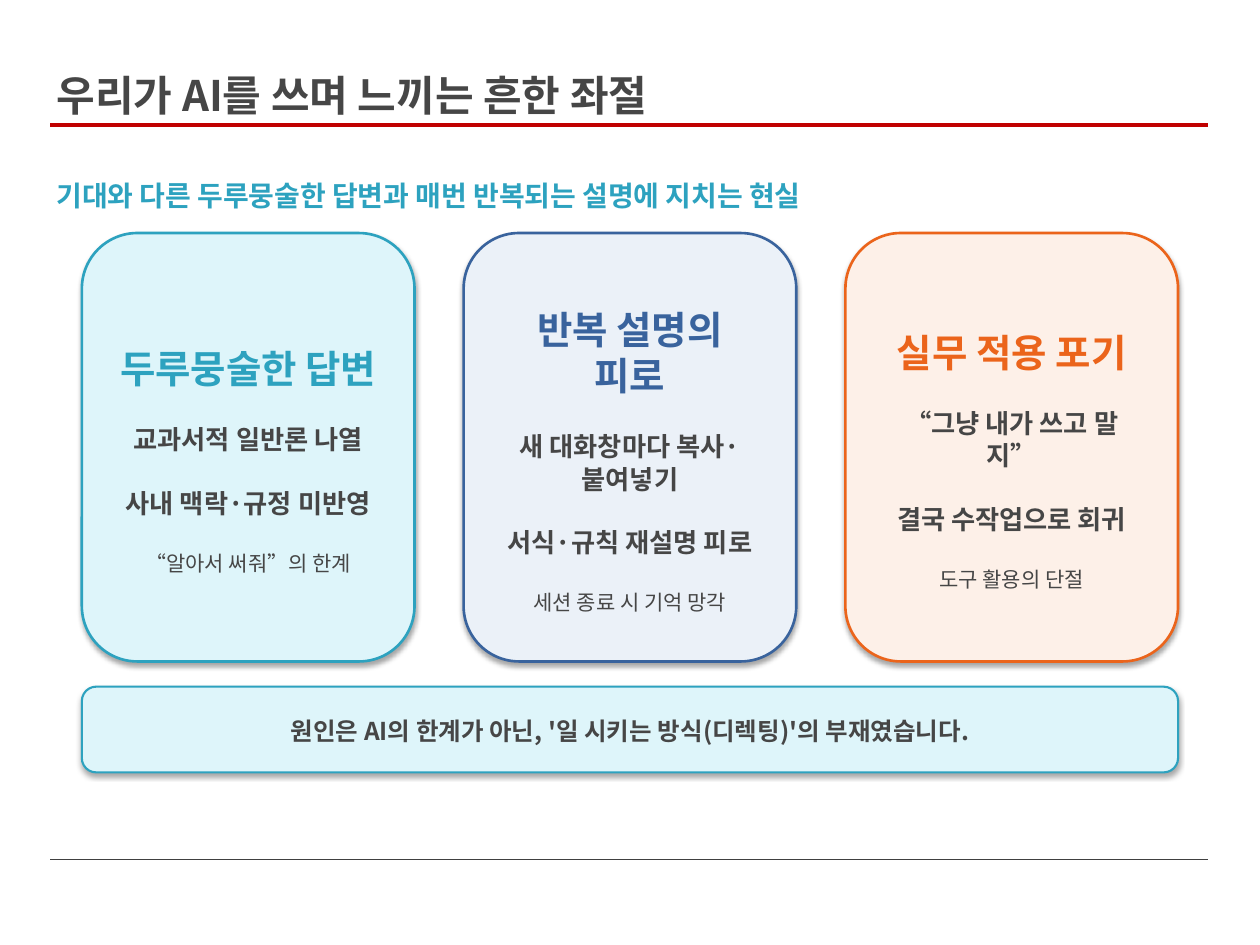
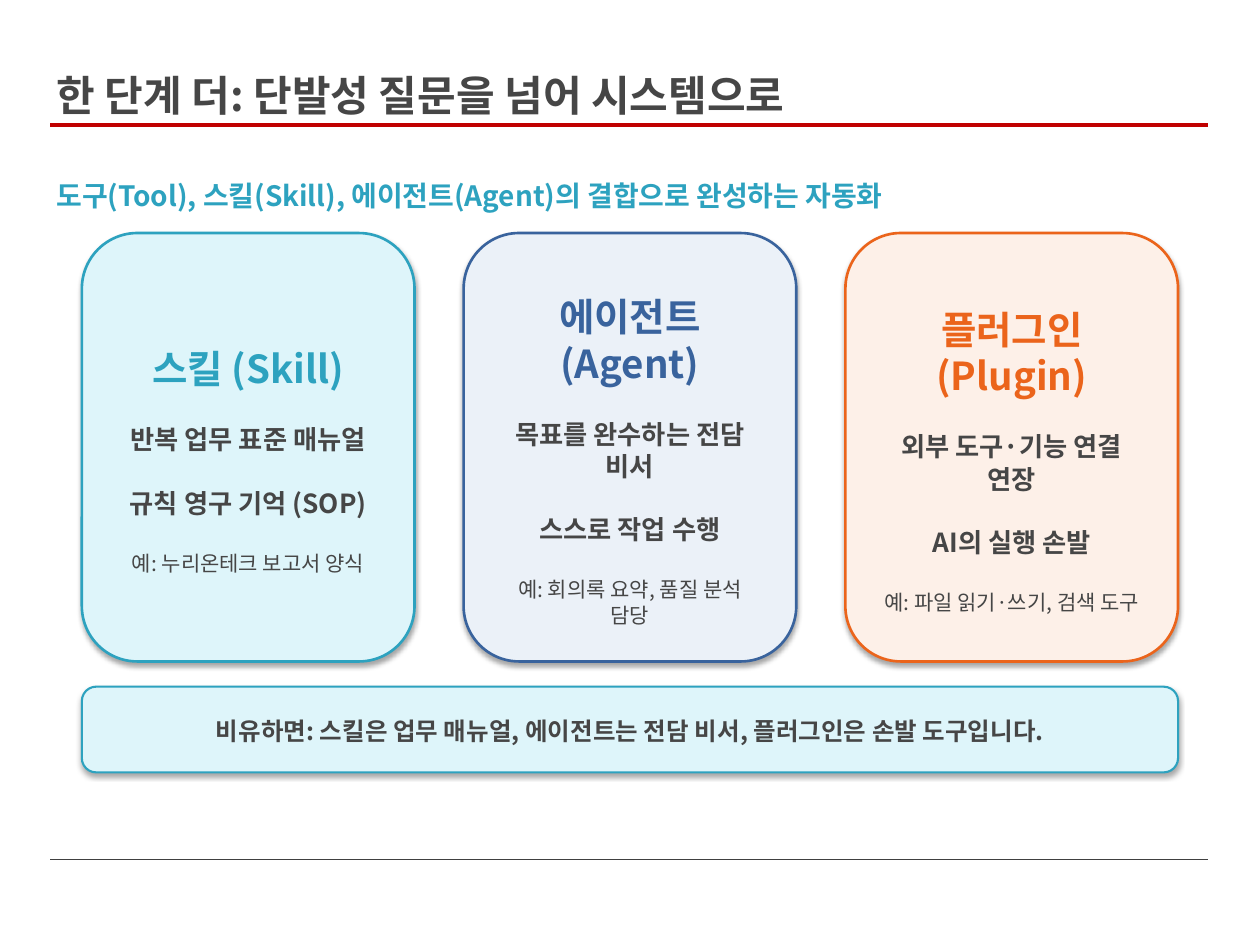
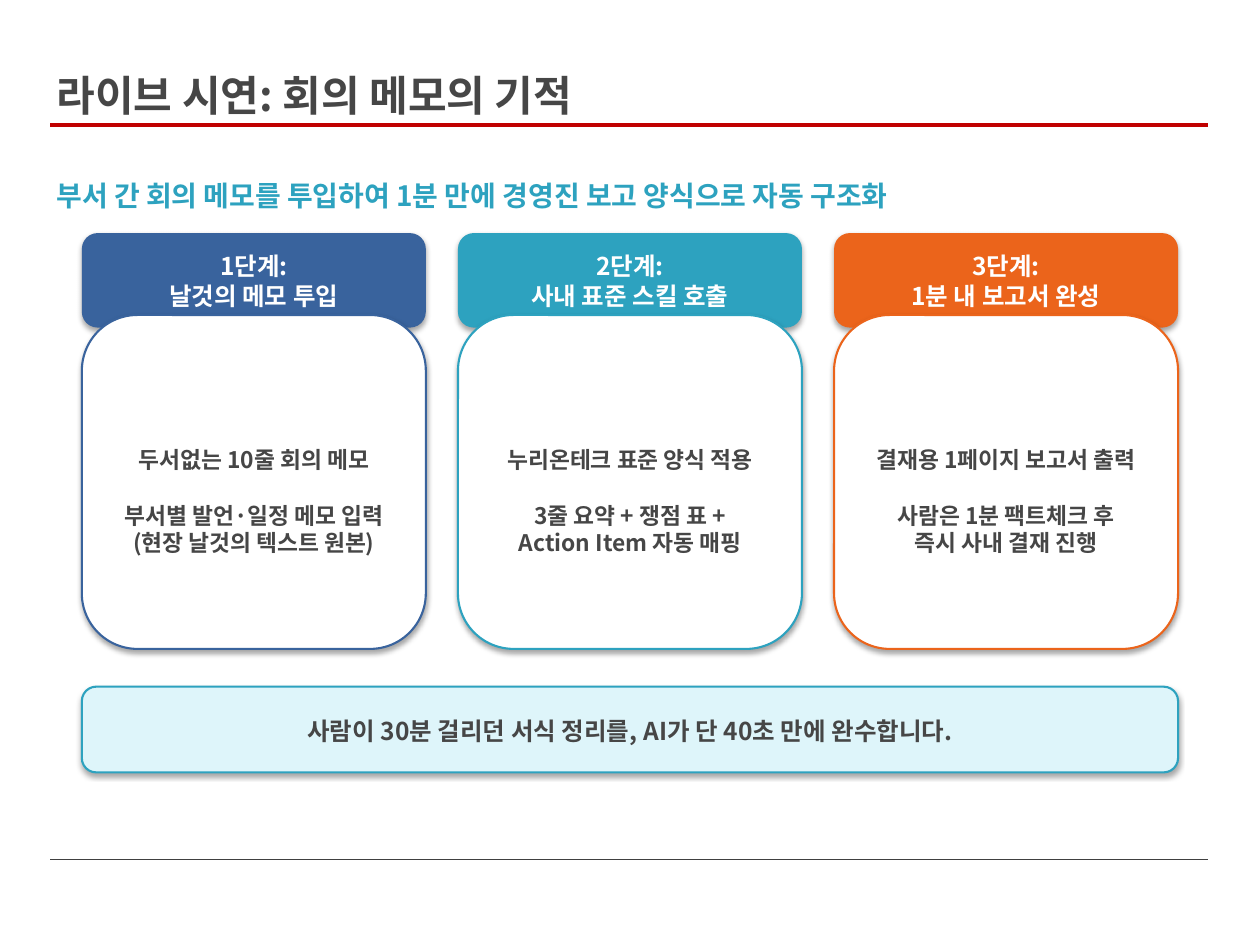
from lxml import etree
from pptx import Presentation
from pptx import util as u
from pptx.dml import color
from pptx.enum import shapes, text
from pptx.oxml import ns

FONT = "Noto Sans CJK KR"
INK, WHITE, RED, RULE = "464646", "FFFFFF", "C00000", "404040"
TEAL, BLUE, ORANGE = "2DA2BF", "39639D", "EB641B"
TINTS = {TEAL: "DEF5FA", BLUE: "EBF1F8", ORANGE: "FDF0E8"}

WIDTH, HEIGHT = 10, 7.5
MARGIN, TOP = 0.65, 1.85
CONTENT_WIDTH = WIDTH - 2 * MARGIN
RULE_LEFT, RULE_RIGHT = 0.4, 9.59
LINE_HEIGHT = 1.22

CARD_WIDTH, CARD_HEIGHT = 2.64, 3.4
STEP_WIDTH, HEADER_HEIGHT, STEP_HEIGHT, OVERLAP = 2.73, 0.75, 2.65, 0.1

CARD_SLIDES = [
    {
        "title": "우리가 AI를 쓰며 느끼는 흔한 좌절",
        "subtitle": "기대와 다른 두루뭉술한 답변과 매번 반복되는 설명에 지치는 현실",
        "cards": [
            (TEAL, "두루뭉술한 답변", "교과서적 일반론 나열", "사내 맥락·규정 미반영", "“알아서 써줘”의 한계"),
            (BLUE, "반복 설명의 피로", "새 대화창마다 복사·붙여넣기", "서식·규칙 재설명 피로", "세션 종료 시 기억 망각"),
            (ORANGE, "실무 적용 포기", "“그냥 내가 쓰고 말지”", "결국 수작업으로 회귀", "도구 활용의 단절"),
        ],
        "message": "원인은 AI의 한계가 아닌, '일 시키는 방식(디렉팅)'의 부재였습니다.",
    },
    {
        "title": "한 단계 더: 단발성 질문을 넘어 시스템으로",
        "subtitle": "도구(Tool), 스킬(Skill), 에이전트(Agent)의 결합으로 완성하는 자동화",
        "cards": [
            (TEAL, "스킬 (Skill)", "반복 업무 표준 매뉴얼", "규칙 영구 기억 (SOP)", "예: 누리온테크 보고서 양식"),
            (BLUE, "에이전트 (Agent)", "목표를 완수하는 전담 비서", "스스로 작업 수행", "예: 회의록 요약, 품질 분석 담당"),
            (ORANGE, "플러그인 (Plugin)", "외부 도구·기능 연결 연장", "AI의 실행 손발", "예: 파일 읽기·쓰기, 검색 도구"),
        ],
        "message": "비유하면: 스킬은 업무 매뉴얼, 에이전트는 전담 비서, 플러그인은 손발 도구입니다.",
    },
]

STEP_SLIDE = {
    "title": "라이브 시연: 회의 메모의 기적",
    "subtitle": "부서 간 회의 메모를 투입하여 1분 만에 경영진 보고 양식으로 자동 구조화",
    "steps": [
        (BLUE, ("1단계:", "날것의 메모 투입"),
         ("두서없는 10줄 회의 메모", "부서별 발언·일정 메모 입력", "(현장 날것의 텍스트 원본)")),
        (TEAL, ("2단계:", "사내 표준 스킬 호출"),
         ("누리온테크 표준 양식 적용", "3줄 요약 + 쟁점 표 +", "Action Item 자동 매핑")),
        (ORANGE, ("3단계:", "1분 내 보고서 완성"),
         ("결재용 1페이지 보고서 출력", "사람은 1분 팩트체크 후", "즉시 사내 결재 진행")),
    ],
    "message": "사람이 30분 걸리던 서식 정리를, AI가 단 40초 만에 완수합니다.",
}


def rgb(value):
    return color.RGBColor.from_string(value)


def place(shape, left, top, width, height):
    shape.left, shape.top = u.Inches(left), u.Inches(top)
    shape.width, shape.height = u.Inches(width), u.Inches(height)


def write(shape, lines, align=text.PP_ALIGN.CENTER, anchor=text.MSO_ANCHOR.MIDDLE,
          insets=(0.1, 0.05, 0.1, 0.05), spacing=1):
    frame = shape.text_frame
    frame.word_wrap = True
    frame.auto_size = text.MSO_AUTO_SIZE.NONE
    frame.vertical_anchor = anchor
    (frame.margin_left, frame.margin_top,
     frame.margin_right, frame.margin_bottom) = map(u.Inches, insets)
    for index, (words, size, ink, bold, after) in enumerate(lines):
        paragraph = frame.paragraphs[0] if index == 0 else frame.add_paragraph()
        paragraph.alignment = align
        paragraph.line_spacing = u.Pt(size * LINE_HEIGHT * spacing)
        paragraph.space_before = u.Pt(0)
        paragraph.space_after = u.Pt(after)
        run = paragraph.add_run()
        run.text = words
        font = run.font
        font.name, font.size, font.bold = FONT, u.Pt(size), bold
        font.color.rgb = rgb(ink)
        east_asian = etree.Element(ns.qn("a:ea"), typeface=FONT)
        run._r.rPr.find(ns.qn("a:latin")).addnext(east_asian)


def add_shadow(shape):
    shape.shadow.inherit = False
    effects = shape._element.spPr.find(ns.qn("a:effectLst"))
    shadow = etree.SubElement(
        effects, ns.qn("a:outerShdw"), blurRad=str(u.Pt(3.1)), dist=str(u.Pt(1.8)),
        dir="5400000", algn="ctr", rotWithShape="0")
    black = etree.SubElement(shadow, ns.qn("a:srgbClr"), val="000000")
    etree.SubElement(black, ns.qn("a:alpha"), val="35000")


def add_panel(slide, box, fill, outline=None, weight=1.2):
    panel = slide.shapes.add_shape(
        shapes.MSO_SHAPE.ROUNDED_RECTANGLE, *map(u.Inches, box))
    panel.fill.solid()
    panel.fill.fore_color.rgb = rgb(fill)
    if outline:
        panel.line.color.rgb = rgb(outline)
        panel.line.width = u.Pt(weight)
    else:
        panel.line.fill.background()
    add_shadow(panel)
    return panel


def add_rule(slide, top, ink, weight):
    rule = slide.shapes.add_connector(
        shapes.MSO_CONNECTOR.STRAIGHT, u.Inches(RULE_LEFT), u.Inches(top),
        u.Inches(RULE_RIGHT), u.Inches(top))
    rule.line.color.rgb = rgb(ink)
    rule.line.width = u.Pt(weight)
    etree.SubElement(rule._element.spPr, ns.qn("a:effectLst"))


def column_left(index, width, count=3):
    return MARGIN + index * (CONTENT_WIDTH - width) / (count - 1)


def add_frame(presentation, content):
    slide = presentation.slides.add_slide(presentation.slide_layouts[5])
    add_rule(slide, 0.99, RED, 2.25)
    add_rule(slide, 6.82, RULE, 0.75)
    heading = {"align": text.PP_ALIGN.LEFT, "anchor": text.MSO_ANCHOR.TOP, "spacing": 1.5}
    title = slide.shapes.title
    place(title, 0.35, 0.29, 9.14, 0.71)
    write(title, [(content["title"], 24, INK, True, 0)], **heading)
    subtitle = slide.shapes.add_textbox(0, 0, 0, 0)
    place(subtitle, 0.35, 1.23, 9.14, 0.55)
    write(subtitle, [(content["subtitle"], 16, TEAL, True, 0)], **heading)
    return slide


def add_message(slide, words):
    banner = add_panel(slide, (MARGIN, 5.45, CONTENT_WIDTH, 0.68), TINTS[TEAL], TEAL)
    write(banner, [(words, 14, INK, True, 0)], insets=(0.2, 0.12, 0.2, 0.1))


def add_card(slide, index, accent, name, first, second, note):
    box = (column_left(index, CARD_WIDTH), TOP, CARD_WIDTH, CARD_HEIGHT)
    card = add_panel(slide, box, TINTS[accent], accent, 1.5)
    write(card, [
        (name, 22, accent, True, 18),
        (first, 15, INK, True, 18),
        (second, 15, INK, True, 18),
        (note, 12, INK, False, 0),
    ], insets=(0.15, 0.4, 0.15, 0.2))


def add_step(slide, index, accent, heading, body):
    left = column_left(index, STEP_WIDTH)
    header = add_panel(slide, (left, TOP, STEP_WIDTH, HEADER_HEIGHT), accent)
    write(header, [(words, 14, WHITE, True, 0) for words in heading])
    body_top = TOP + HEADER_HEIGHT - OVERLAP
    panel = add_panel(slide, (left, body_top, STEP_WIDTH, STEP_HEIGHT), WHITE, accent)
    gaps = (13 * LINE_HEIGHT, 0, 0)
    write(panel, [(words, 13, INK, True, gap) for words, gap in zip(body, gaps)],
          insets=(0.15, 0.35, 0.15, 0.05))


def main():
    presentation = Presentation()
    presentation.slide_width = u.Inches(WIDTH)
    presentation.slide_height = u.Inches(HEIGHT)
    for content in CARD_SLIDES:
        slide = add_frame(presentation, content)
        for index, card in enumerate(content["cards"]):
            add_card(slide, index, *card)
        add_message(slide, content["message"])
    slide = add_frame(presentation, STEP_SLIDE)
    for index, step in enumerate(STEP_SLIDE["steps"]):
        add_step(slide, index, *step)
    add_message(slide, STEP_SLIDE["message"])
    presentation.save("out.pptx")


if __name__ == "__main__":
    main()
